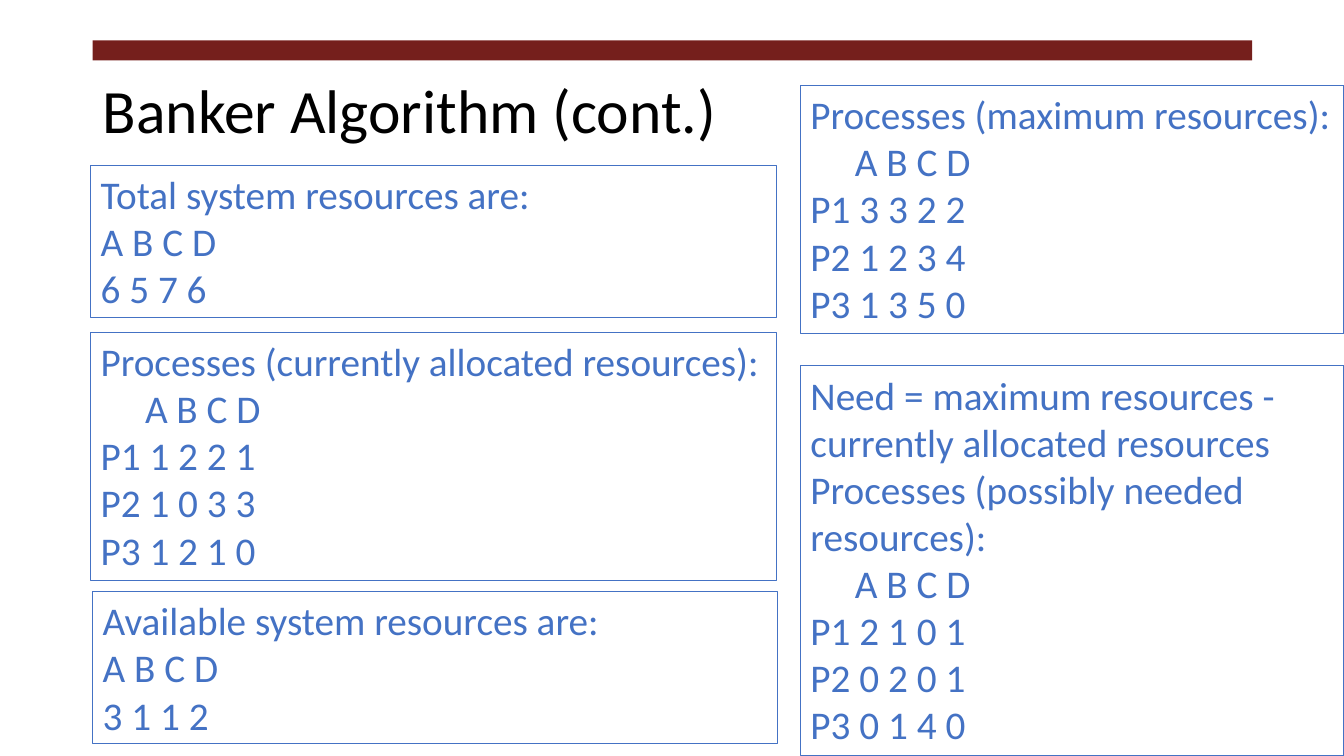
from pptx import Presentation
from pptx.dml.color import RGBColor
from pptx.enum.shapes import MSO_SHAPE
from pptx.enum.text import MSO_ANCHOR, MSO_AUTO_SIZE, PP_ALIGN
from pptx.util import Inches, Pt

RECT = MSO_SHAPE.RECTANGLE
TOP, MIDDLE = MSO_ANCHOR.TOP, MSO_ANCHOR.MIDDLE
NO_FIT, GROW = MSO_AUTO_SIZE.NONE, MSO_AUTO_SIZE.SHAPE_TO_FIT_TEXT
LEFT = PP_ALIGN.LEFT

MAROON = RGBColor(0x75, 0x1F, 0x1C)
BLUE = RGBColor(0x44, 0x72, 0xC4)
BLACK = RGBColor(0, 0, 0)
FONT = "Calibri"
HEAD = "A B C D"

# Place of each box, its opening lines, and its rows of numbers
BOXES = [
    ((0.9, 1.64, 6.8, 1.51), ["Total system resources are:"], ["6 5 7 6"]),
    ((0.9, 3.3, 6.8, 2.46), ["Processes (currently allocated resources):"],
     ["P1 1 2 2 1", "P2 1 0 3 3", "P3 1 2 1 0"]),
    ((0.92, 5.87, 6.79, 1.51), ["Available system resources are:"],
     ["3 1 1 2"]),
    ((7.94, 0.85, 5.39, 2.46), ["Processes (maximum resources):"],
     ["P1 3 3 2 2", "P2 1 2 3 4", "P3 1 3 5 0"]),
    ((7.94, 3.63, 5.39, 3.87),
     ["Need = maximum resources - currently allocated resources",
      "Processes (possibly needed resources):"],
     ["P1 2 1 0 1", "P2 0 2 0 1", "P3 0 1 4 0"]),
]


def style(para, size, color):
    para.alignment = LEFT
    para.font.name = FONT
    para.font.size = Pt(size)
    para.font.color.rgb = color


def add_rect(slide, place):
    rect = slide.shapes.add_shape(RECT, *map(Inches, place))
    rect.shadow.inherit = False
    return rect


def add_bar(slide):
    bar = add_rect(slide, (0.92, 0.4, 11.5, 0.2))
    bar.fill.solid()
    bar.fill.fore_color.rgb = MAROON
    bar.line.fill.background()


def set_title(slide, text):
    title = slide.shapes.title
    title.left, title.top = Inches(0.92), Inches(0.4)
    title.width, title.height = Inches(11.5), Inches(1.45)
    frame = title.text_frame
    frame.text = text
    frame.auto_size = NO_FIT
    frame.vertical_anchor = MIDDLE
    para = frame.paragraphs[0]
    para.line_spacing = 0.9
    style(para, 44, BLACK)


def add_box(slide, place, intro, rows):
    """Add an outlined box; the letters are indented past process names."""
    box = add_rect(slide, place)
    box.fill.background()
    box.line.color.rgb = BLUE
    box.line.width = Pt(0.75)
    frame = box.text_frame
    frame.word_wrap = True
    frame.auto_size = GROW
    frame.vertical_anchor = TOP
    frame.text = "\n".join([*intro, HEAD, *rows])
    for para in frame.paragraphs:
        style(para, 28, BLUE)
        if para.text == HEAD and len(rows) > 1:
            props = para._p.get_or_add_pPr()
            props.set("marL", str(Inches(0.44)))
            props.set("indent", "0")


def main():
    deck = Presentation()
    deck.slide_width, deck.slide_height = Inches(13.33), Inches(7.5)
    slide = deck.slides.add_slide(deck.slide_layouts[5])
    add_bar(slide)
    set_title(slide, "Banker Algorithm (cont.)")
    for place, intro, rows in BOXES:
        add_box(slide, place, intro, rows)
    deck.save("out.pptx")


if __name__ == "__main__":
    main()
